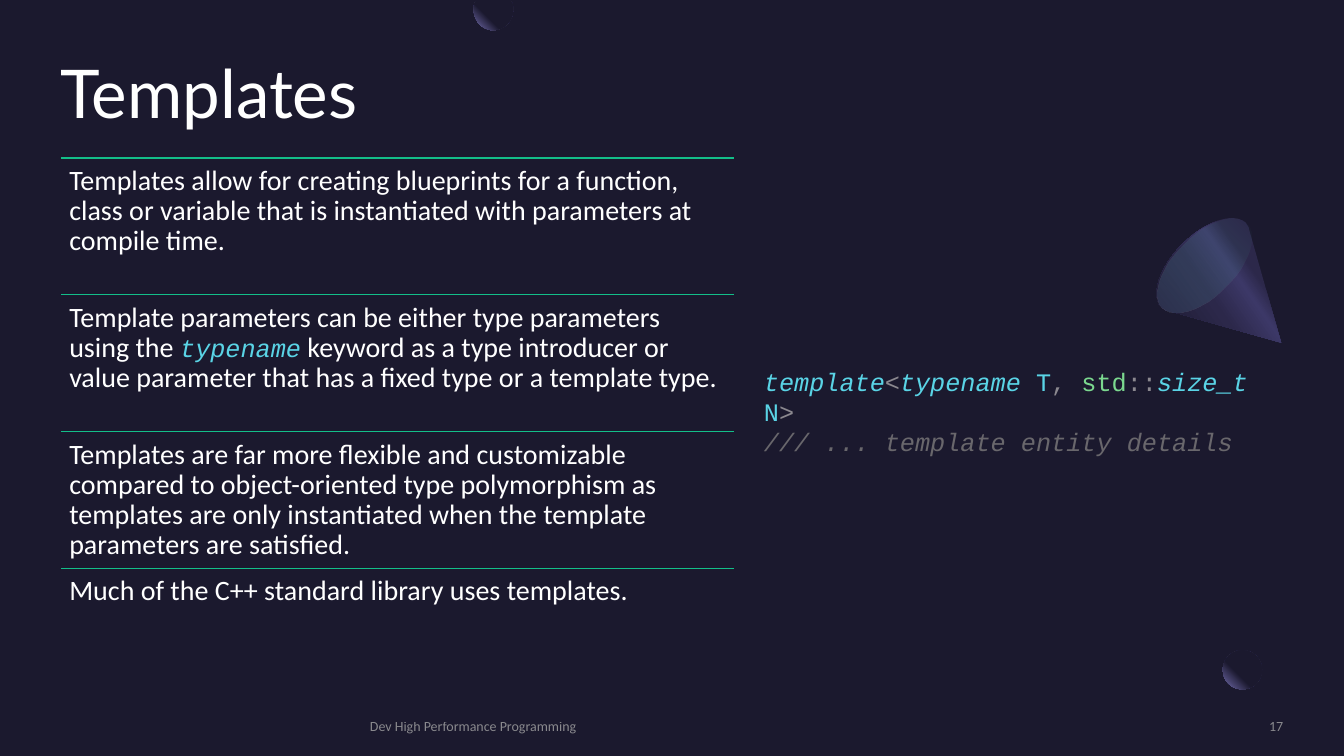
from collections import namedtuple
from dataclasses import dataclass

from lxml import etree
from pptx import Presentation
from pptx.dml.color import RGBColor
from pptx.enum.shapes import MSO_CONNECTOR, MSO_SHAPE
from pptx.enum.text import MSO_ANCHOR, MSO_AUTO_SIZE, PP_ALIGN
from pptx.oxml.ns import qn
from pptx.util import Inches, Pt

STRAIGHT = MSO_CONNECTOR.STRAIGHT
OVAL = MSO_SHAPE.OVAL
RECTANGLE = MSO_SHAPE.RECTANGLE
MIDDLE = MSO_ANCHOR.MIDDLE
LEFT, RIGHT = PP_ALIGN.LEFT, PP_ALIGN.RIGHT
GROW = MSO_AUTO_SIZE.SHAPE_TO_FIT_TEXT

COLUMNS, ROWS = 133.33, 75
UNIT = Inches(0.1)
CURVE_STEPS = 12

Box = namedtuple("Box", "left top width height")


@dataclass(frozen=True)
class Theme:
    background: str = "1B192E"
    white: str = "FFFFFF"
    rule: str = "13BE89"
    footer: str = "A6A6A6"
    keyword: str = "5AD4E6"
    symbol: str = "8B888F"
    namespace: str = "7BD88F"
    comment: str = "69676C"
    glow: str = "7771B2"
    cone_dark: str = "2C284A"
    cone_light: str = "3C3867"
    rim: str = "454075"
    mint: str = "5BEFC1"
    title_size: int = 48
    body_size: int = 20
    code_size: int = 18
    footer_size: int = 10
    title_font: str = "Lato"
    body_font: str = "Calibri"
    code_font: str = "Courier New"


THEME = Theme()


def style(name, size, color, italic=False):
    return {"name": name, "size": Pt(size), "italic": italic, "color": color}


def code(color, italic=False):
    return style(THEME.code_font, THEME.code_size, color, italic)


TITLE = style(THEME.title_font, THEME.title_size, THEME.white)
BODY = style(THEME.body_font, THEME.body_size, THEME.white)
FOOTER = style(THEME.body_font, THEME.footer_size, THEME.footer)
KEYWORD = code(THEME.keyword, True)
TYPE = code(THEME.keyword)
SYMBOL = code(THEME.symbol)
NAMESPACE = code(THEME.namespace)
COMMENT = code(THEME.comment, True)

POINTS = [
    [("Templates allow for creating blueprints for a function, class or variable "
      "that is instantiated with parameters at compile time.", BODY)],
    [("Template parameters can be either type parameters using the ", BODY),
     ("typename", KEYWORD),
     (" keyword as a type introducer or value parameter that has a fixed type "
      "or a template type.", BODY)],
    [("Templates are far more flexible and customizable compared to object-oriented "
      "type polymorphism as templates are only instantiated when the template "
      "parameters are satisfied.", BODY)],
    [("Much of the C++ standard library uses templates.", BODY)],
]
CODE_LINES = [
    [("template", KEYWORD), ("<", SYMBOL), ("typename ", KEYWORD), ("T", TYPE),
     (", ", SYMBOL), ("std", NAMESPACE), ("::", SYMBOL), ("size_t ", KEYWORD),
     ("N", TYPE), (">", SYMBOL)],
    [("/// ... template entity details", COMMENT)],
]
CONE_OUTLINE = [
    (12.1, 14), (0.8, 10.8), (0.7, 10.8),
    ((0.6, 10.7), (0.4, 10.6), (0.2, 10.5)),
    ((-0.9, 9.3), (0, 6.5), (2.3, 4.2)),
    ((4.6, 1.9), (7.4, 1), (8.6, 2.1)),
    ((8.7, 2.3), (8.8, 2.4), (8.9, 2.6)),
    (8.9, 2.7),
]
CUT_BALL_OUTLINE = [
    (0.3, 0), (3.6, 0), (3.8, 0.3),
    ((3.9, 0.5), (3.9, 0.8), (3.9, 1)),
    ((3.9, 2.1), (3, 3), (1.9, 3)),
    ((0.9, 3), (0, 2.1), (0, 1)),
    ((0, 0.8), (0, 0.5), (0.1, 0.3)),
]
BALL_STOPS = [(60, THEME.background, 100), (100, THEME.glow, 100)]
CONE_STOPS = [(30, THEME.cone_dark, 100), (40, THEME.cone_light, 100),
              (60, THEME.cone_dark, 100), (100, THEME.background, 100)]
RIM_STOPS = [(0, THEME.rim, 33), (100, THEME.mint, 0)]


def emu(box):
    return [round(length * UNIT) for length in box]


def add_alpha(color_element, percent):
    etree.SubElement(color_element, qn("a:alpha"), val=str(percent * 1000))


def set_gradient(shape, stops, angle=None):
    shape.fill.background()
    properties = shape._element.spPr
    gradient = etree.Element(qn("a:gradFill"), rotWithShape="1")
    stop_list = etree.SubElement(gradient, qn("a:gsLst"))
    for position, color, opacity in stops:
        stop = etree.SubElement(stop_list, qn("a:gs"), pos=str(position * 1000))
        add_alpha(etree.SubElement(stop, qn("a:srgbClr"), val=color), opacity)
    if angle is None:
        path = etree.SubElement(gradient, qn("a:path"), {"path": "circle"})
        etree.SubElement(path, qn("a:fillToRect"), l="100000", b="100000")
    else:
        etree.SubElement(gradient, qn("a:lin"), ang=str(angle * 60000), scaled="0")
    properties.replace(properties.find(qn("a:noFill")), gradient)
    shape.line.fill.background()
    shape.shadow.inherit = False


def curve_points(start, first, second, end):
    for step in range(1, CURVE_STEPS + 1):
        t = step / CURVE_STEPS
        weights = ((1 - t) ** 3, 3 * t * (1 - t) ** 2, 3 * t * t * (1 - t), t ** 3)
        corners = (start, first, second, end)
        yield tuple(sum(w * c[axis] for w, c in zip(weights, corners)) for axis in (0, 1))


def add_outline(slide, box, outline):
    points = [outline[0]]
    for segment in outline[1:]:
        points += [segment] if len(segment) == 2 else list(curve_points(points[-1], *segment))
    places = [((box.left + x) * UNIT, (box.top + y) * UNIT) for x, y in points]
    builder = slide.shapes.build_freeform(*places[0])
    builder.add_line_segments(places[1:], close=True)
    return builder.convert_to_shape()


def add_text(slide, box, lines, insets=(0, 0), spacing=None, align=LEFT, opacity=100, **frame_format):
    frame = slide.shapes.add_textbox(*emu(box)).text_frame
    across, down = (round(inset * UNIT) for inset in insets)
    frame_format |= {"word_wrap": True, "margin_left": across, "margin_right": across,
                     "margin_top": down, "margin_bottom": down}
    for name, value in frame_format.items():
        setattr(frame, name, value)
    for index, pieces in enumerate(lines):
        paragraph = frame.add_paragraph() if index else frame.paragraphs[0]
        paragraph.alignment = align
        paragraph.line_spacing = spacing
        for text, font_format in pieces:
            run = paragraph.add_run()
            run.text = text
            for name, value in font_format.items():
                if name == "color":
                    run.font.color.rgb = RGBColor.from_string(value)
                else:
                    setattr(run.font, name, value)
            if opacity < 100:
                add_alpha(run._r.rPr.find(".//" + qn("a:srgbClr")), opacity)


def add_corner_ball(slide, box):
    ball = slide.shapes.add_shape(OVAL, *emu(Box(box.left, box.top + 0.8, 3.9, 3.9)))
    set_gradient(ball, BALL_STOPS)
    veil = slide.shapes.add_shape(RECTANGLE, *emu(Box(box.left + 3.9, box.top, 4.1, 3.9)))
    veil.fill.solid()
    veil.fill.fore_color.rgb = RGBColor.from_string(THEME.background)
    add_alpha(veil._element.spPr.find(".//" + qn("a:srgbClr")), 80)
    veil.line.fill.background()
    veil.shadow.inherit = False


def add_cone(slide, box):
    set_gradient(add_outline(slide, box, CONE_OUTLINE), CONE_STOPS, 145)
    rim = slide.shapes.add_shape(OVAL, *emu(Box(box.left + 1.5, box.top + 0.4, 5.9, 11.8)))
    rim.rotation = 225
    set_gradient(rim, RIM_STOPS, 90)


def add_points(slide, box):
    height = box.height / len(POINTS)
    for index, pieces in enumerate(POINTS):
        row = Box(box.left, box.top + index * height, box.width, height)
        left, top, width, _ = emu(row)
        rule = slide.shapes.add_connector(STRAIGHT, left, top, left + width, top)
        rule.line.color.rgb = RGBColor.from_string(THEME.rule)
        rule.line.width = Pt(1)
        etree.SubElement(rule._element.spPr, qn("a:effectLst"))
        add_text(slide, row, [pieces], insets=(0.83, 0.83), spacing=0.9)


def add_footer(slide, box):
    footer = {"opacity": 80, "vertical_anchor": MIDDLE}
    add_text(slide, box._replace(width=69.8), [[("Dev High Performance Programming", FOOTER)]], **footer)
    number = box._replace(left=box.left + box.width - 18.5, width=18.5)
    add_text(slide, number, [[("17", FOOTER)]], align=RIGHT, **footer)


def main():
    presentation = Presentation()
    presentation.slide_width, presentation.slide_height = emu((COLUMNS, ROWS))
    slide = presentation.slides.add_slide(presentation.slide_layouts[6])
    slide.background.fill.solid()
    slide.background.fill.fore_color.rgb = RGBColor.from_string(THEME.background)
    add_corner_ball(slide, Box(121.3, 63.7, 8, 4.7))
    add_cone(slide, Box(115, 20, 12.1, 14))
    add_text(slide, Box(6, 6, 121.4, 8.5), [[("Templates", TITLE)]], spacing=0.9)
    add_points(slide, Box(6.04, 15.66, 66.8, 54.3))
    add_footer(slide, Box(36.7, 71.2, 90.6, 1.7))
    set_gradient(add_outline(slide, Box(47, 0, 3.9, 3), CUT_BALL_OUTLINE), BALL_STOPS)
    add_text(slide, Box(74.8, 35.8, 50.9, 7.1), CODE_LINES, insets=(1, 0.5), auto_size=GROW)
    presentation.save("out.pptx")


if __name__ == "__main__":
    main()
